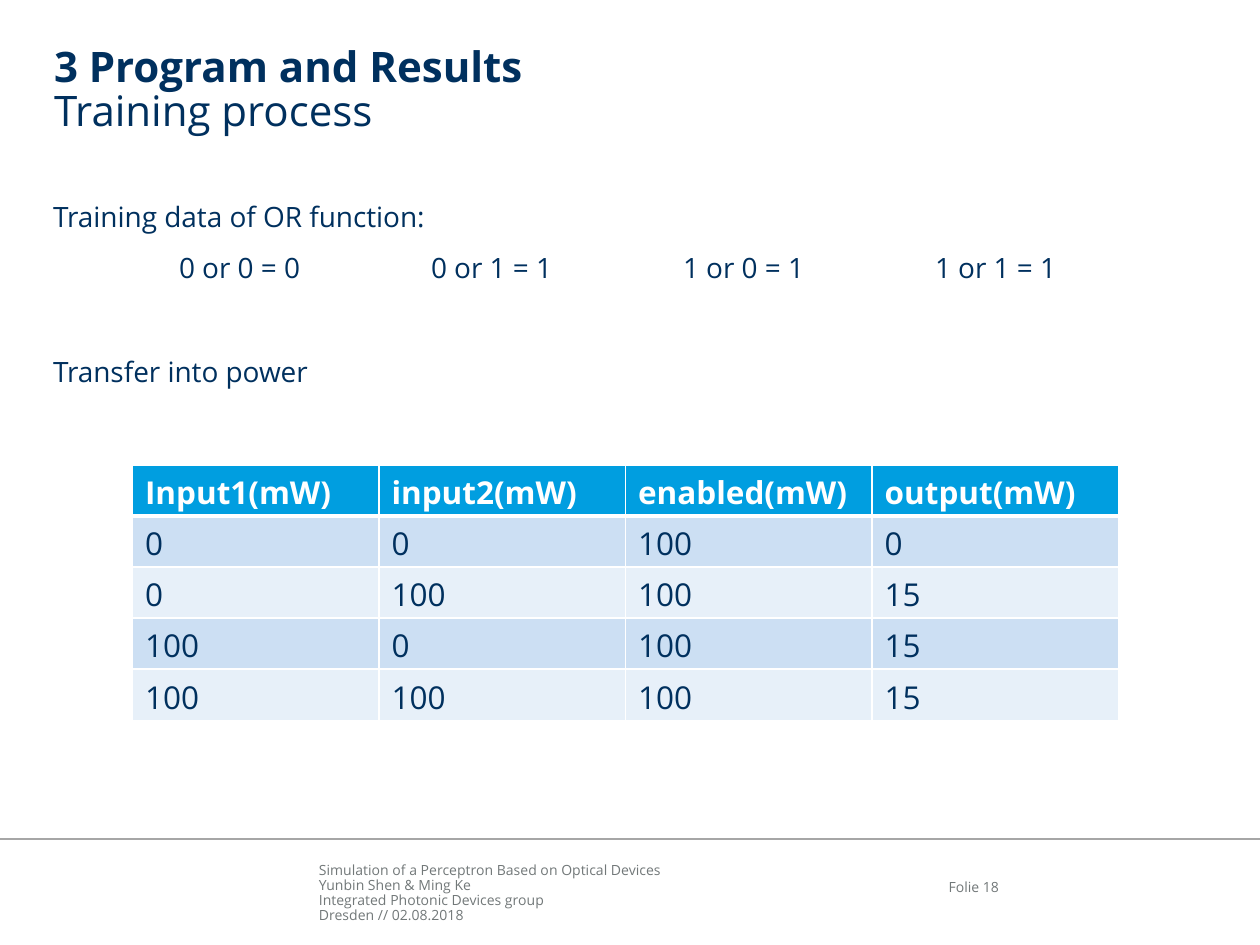
from lxml.etree import SubElement
from pptx import Presentation
from pptx.dml.color import RGBColor
from pptx.enum.shapes import MSO_CONNECTOR as Connector
from pptx.enum.text import MSO_ANCHOR as Anchor, PP_ALIGN as Align
from pptx.oxml.ns import qn
from pptx.util import Cm, Pt

FONT = "Open Sans"
NAVY, GREY, WHITE = "00305E", "727879", "FFFFFF"
HEADER_FILL, BAND_FILLS = "009EE0", ("CCDFF3", "E7F0F9")
LINE_SPACING = 0.88

FOOTER = (
    "Simulation of a Perceptron Based on Optical Devices",
    "Yunbin Shen & Ming Ke",
    "Integrated Photonic Devices group",
    "Dresden // 02.08.2018",
)
OR_CASES = ("0 or 0 = 0", "0 or 1 = 1", "1 or 0 = 1", "1 or 1 = 1")
POWER_ROWS = (
    ("Input1(mW)", "input2(mW)", "enabled(mW)", "output(mW)"),
    ("0", "0", "100", "0"),
    ("0", "100", "100", "15"),
    ("100", "0", "100", "15"),
    ("100", "100", "100", "15"),
)


def color(hex_code):
    return RGBColor.from_string(hex_code)


def style(paragraph, size, hex_code, bold=None):
    font = paragraph.font
    font.name, font.size, font.bold = FONT, Pt(size), bold
    font.color.rgb = color(hex_code)


def clear_margins(frame):
    frame.margin_left = frame.margin_right = 0
    frame.margin_top = frame.margin_bottom = 0
    frame.vertical_anchor = Anchor.TOP
    frame.word_wrap = True


def add_text(slide, left, top, width, height, lines, size, hex_code,
             align=Align.LEFT):
    """Add a text box with one paragraph per line and return its paragraphs."""
    frame = slide.shapes.add_textbox(
        Cm(left), Cm(top), Cm(width), Cm(height)).text_frame
    clear_margins(frame)
    frame.text = "\n".join(lines)
    for paragraph in frame.paragraphs:
        style(paragraph, size, hex_code)
        paragraph.alignment = align
        paragraph.line_spacing = LINE_SPACING
    return frame.paragraphs


def set_title(slide, heading, subheading):
    title = slide.shapes.title
    title.left, title.top = Cm(1.09), Cm(0.94)
    title.width, title.height = Cm(23.24), Cm(2.26)
    clear_margins(title.text_frame)
    paragraph = title.text_frame.paragraphs[0]
    style(paragraph, 24, NAVY)
    paragraph.alignment = Align.LEFT
    paragraph.line_spacing = LINE_SPACING
    heading_run = paragraph.add_run()
    heading_run.text, heading_run.font.bold = heading, True
    paragraph.add_line_break()
    paragraph.add_run().text = subheading


def set_tab_stops(paragraph, positions):
    properties = paragraph._p.get_or_add_pPr()
    tabs = properties.makeelement(qn("a:tabLst"), {})
    for position in positions:
        SubElement(tabs, qn("a:tab"), pos=str(Cm(position)), algn="l")
    # The schema wants the tab list ahead of the default run properties.
    properties.find(qn("a:defRPr")).addprevious(tabs)


def add_body(slide):
    intro, cases, transfer = add_text(
        slide, 1.07, 4.11, 23.27, 11.81,
        ("Training data of OR function:", "\t" + "\t".join(OR_CASES),
         "Transfer into power"), 16, NAVY)
    intro.space_before = cases.space_before = Pt(12)
    transfer.space_before = Pt(43)
    set_tab_stops(cases, [2.54 + 5.08 * i for i in range(len(OR_CASES))])


def add_rule(slide, top, width, hex_code):
    rule = slide.shapes.add_connector(
        Connector.STRAIGHT, 0, Cm(top), Cm(width), Cm(top))
    rule.line.color.rgb = color(hex_code)
    rule.line.width = Pt(1)
    SubElement(rule._element.spPr, qn("a:effectLst"))


def set_borders(cell, hex_code, **widths):
    """Draw cell borders; widths are points, keyed by L, R, T and B."""
    properties = cell._tc.get_or_add_tcPr()
    for side, width in widths.items():
        line = SubElement(properties, qn(f"a:ln{side}"), w=str(Pt(width)))
        fill = SubElement(line, qn("a:solidFill"))
        SubElement(fill, qn("a:srgbClr"), val=hex_code)


def add_power_table(slide):
    row_count, column_count = len(POWER_ROWS), len(POWER_ROWS[0])
    table = slide.shapes.add_table(
        row_count, column_count, Cm(2.67), Cm(9.37),
        Cm(4.97 * column_count), Cm(1.03 * row_count)).table
    for r, values in enumerate(POWER_ROWS):
        is_header = r == 0
        for c, value in enumerate(values):
            cell = table.cell(r, c)
            cell.text = value
            style(cell.text_frame.paragraphs[0], 18,
                  WHITE if is_header else NAVY, is_header)
            set_borders(cell, WHITE, L=1, R=1, T=3 if r == 1 else 1,
                        B=3 if is_header else 1)
            cell.fill.solid()
            cell.fill.fore_color.rgb = color(
                HEADER_FILL if is_header else BAND_FILLS[(r - 1) % 2])


def main():
    deck = Presentation()
    deck.slide_width, deck.slide_height = Cm(25.4), Cm(19.05)
    slide = deck.slides.add_slide(deck.slide_layouts.get_by_name("Title Only"))
    add_text(slide, 6.43, 17.42, 11.48, 1.37, FOOTER, 8, GREY)
    add_rule(slide, 16.92, 25.4, "A6A6A6")
    add_text(slide, 18.21, 17.76, 1.93, 0.68, ("Folie 18",), 8, GREY,
             Align.RIGHT)
    set_title(slide, "3 Program and Results", "Training process")
    add_body(slide)
    add_power_table(slide)
    deck.save("out.pptx")


if __name__ == "__main__":
    main()
